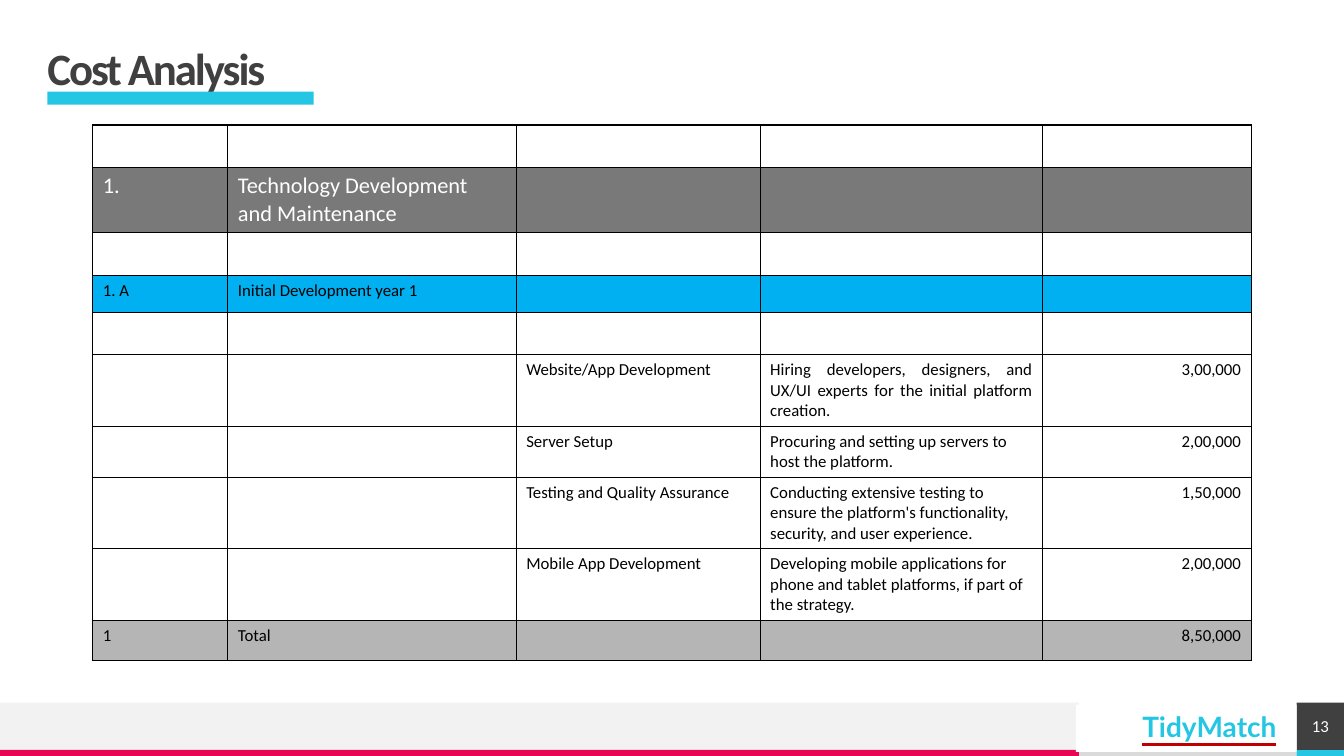
import pptx
import pptx.util
import pptx.dml.color
import pptx.enum.shapes
import pptx.enum.text
import pptx.oxml
from lxml import etree

Inches, Pt = pptx.util.Inches, pptx.util.Pt
ALIGN = pptx.enum.text.PP_ALIGN
MIDDLE = pptx.enum.text.MSO_ANCHOR.MIDDLE
NS = "http://schemas.openxmlformats.org/drawingml/2006/main"
W, H, U = 13.33, 7.5, 0.47
BAR = 0.06
LOGO_W = 2.19
FOOT = H - BAR - U
CYAN, PINK, PALE, DARK, WHITE = "25C6E3", "E80554", "F2F2F2", "404040", "FFFFFF"


def rgb(value):
    return pptx.dml.color.RGBColor.from_string(value)


def style(tf, text, font, size, color, align, bold=False, inset=0):
    tf.text = text
    tf.word_wrap = True
    tf.vertical_anchor = MIDDLE
    tf.margin_left = tf.margin_right = tf.margin_top = tf.margin_bottom = Inches(inset)
    p = tf.paragraphs[0]
    p.alignment = align
    r = p.runs[0]
    r.font.name, r.font.size, r.font.bold = font, Pt(size), bold
    r.font.color.rgb = rgb(color)
    return p, r


prs = pptx.Presentation()
prs.slide_width, prs.slide_height = Inches(W), Inches(H)
s = prs.slides.add_slide(prs.slide_layouts[5])

edge = W - U
split = edge - LOGO_W + 0.03
blocks = {}
for name, x, y, w, h, color in [
    ("logo strip", split, H - BAR, edge - split, BAR, "DADADA"),
    ("footer", 0, FOOT, split, U, PALE),
    ("pink strip", 0, H - BAR, split, BAR, PINK),
    ("cyan strip", edge, H - BAR, U, BAR, CYAN),
    ("page number", edge, FOOT, U, U, DARK),
    ("brand", edge - LOGO_W, FOOT + 0.02, LOGO_W, U, WHITE),
    ("title bar", U, 0.91, 2.64, 0.13, CYAN),
]:
    sp = s.shapes.add_shape(pptx.enum.shapes.MSO_SHAPE.RECTANGLE,
                            Inches(x), Inches(y), Inches(w), Inches(h))
    sp.shadow.inherit = False
    sp.fill.solid()
    sp.fill.fore_color.rgb = rgb(color)
    sp.line.fill.background()
    blocks[name] = sp

style(blocks["page number"].text_frame, "13", "Calibri", 12, WHITE, ALIGN.CENTER)
p, r = style(blocks["brand"].text_frame, "TidyMatch", "Lato", 20, CYAN, ALIGN.RIGHT, True, 0.2)
p.line_spacing = 0.9
r.font.underline = pptx.enum.text.MSO_UNDERLINE.HEAVY_LINE
r.font._element.find(f"{{{NS}}}latin").addprevious(pptx.oxml.parse_xml(
    f'<a:uFill xmlns:a="{NS}"><a:solidFill><a:srgbClr val="C00000"/></a:solidFill></a:uFill>'))

title = s.shapes.title
title.left, title.top, title.width, title.height = [Inches(v) for v in (U, U, W - 2 * U, U)]
p, r = style(title.text_frame, "Cost Analysis", "Calibri", 32, DARK, ALIGN.LEFT, True)
p.line_spacing = 0.9
r.font._element.set("spc", "-150")

blank = [""] * 5
costs = [
    (0.42, None, blank),
    (0.65, "797979", ["1.", "Technology Development and Maintenance", "", "", ""]),
    (0.42, None, blank),
    (0.37, "00B0F0", ["1. A", "Initial Development year 1", "", "", ""]),
    (0.42, None, blank),
    (0.71, None, ["", "", "Website/App Development",
                  "Hiring developers, designers, and UX/UI experts for the initial platform creation.",
                  "3,00,000"]),
    (0.5, None, ["", "", "Server Setup",
                 "Procuring and setting up servers to host the platform.", "2,00,000"]),
    (0.71, None, ["", "", "Testing and Quality Assurance",
                  "Conducting extensive testing to ensure the platform's functionality, "
                  "security, and user experience.", "1,50,000"]),
    (0.71, None, ["", "", "Mobile App Development",
                  "Developing mobile applications for phone and tablet platforms, if part of "
                  "the strategy.", "2,00,000"]),
    (0.4, "B5B5B5", ["1", "Total", "", "", "8,50,000"]),
]
widths = [1.34, 2.86, 2.42, 2.8, 2.07]
frame = s.shapes.add_table(len(costs), len(widths), Inches(0.92), Inches(1.24),
                           Inches(sum(widths)), Inches(sum(c[0] for c in costs)))
table = frame.table
table.first_row = table.horz_banding = False
for col, width in zip(table.columns, widths):
    col.width = Inches(width)

for i, (height, fill, texts) in enumerate(costs):
    table.rows[i].height = Inches(height)
    heading = i == 1
    for j, text in enumerate(texts):
        cell = table.cell(i, j)
        tcPr = cell._tc.get_or_add_tcPr()
        for side in ("lnL", "lnR", "lnT", "lnB"):
            tcPr.append(pptx.oxml.parse_xml(
                f'<a:{side} xmlns:a="{NS}" w="12700"><a:solidFill>'
                f'<a:srgbClr val="000000"/></a:solidFill></a:{side}>'))
        if fill:
            cell.fill.solid()
            cell.fill.fore_color.rgb = rgb(fill)
        else:
            cell.fill.background()
        p = cell.text_frame.paragraphs[0]
        if not text:
            etree.SubElement(p._p, f"{{{NS}}}endParaRPr").set("sz", "1200")
            continue
        p.text = text
        if j == 4:
            p.alignment = ALIGN.RIGHT
        elif (i, j) == (5, 3):
            p.alignment = ALIGN.JUSTIFY
        r = p.runs[0]
        r.font.name = "Calibri"
        r.font.size = Pt(16 if heading else 12)
        r.font.color.rgb = rgb(WHITE if heading else "000000")

prs.save("out.pptx")
